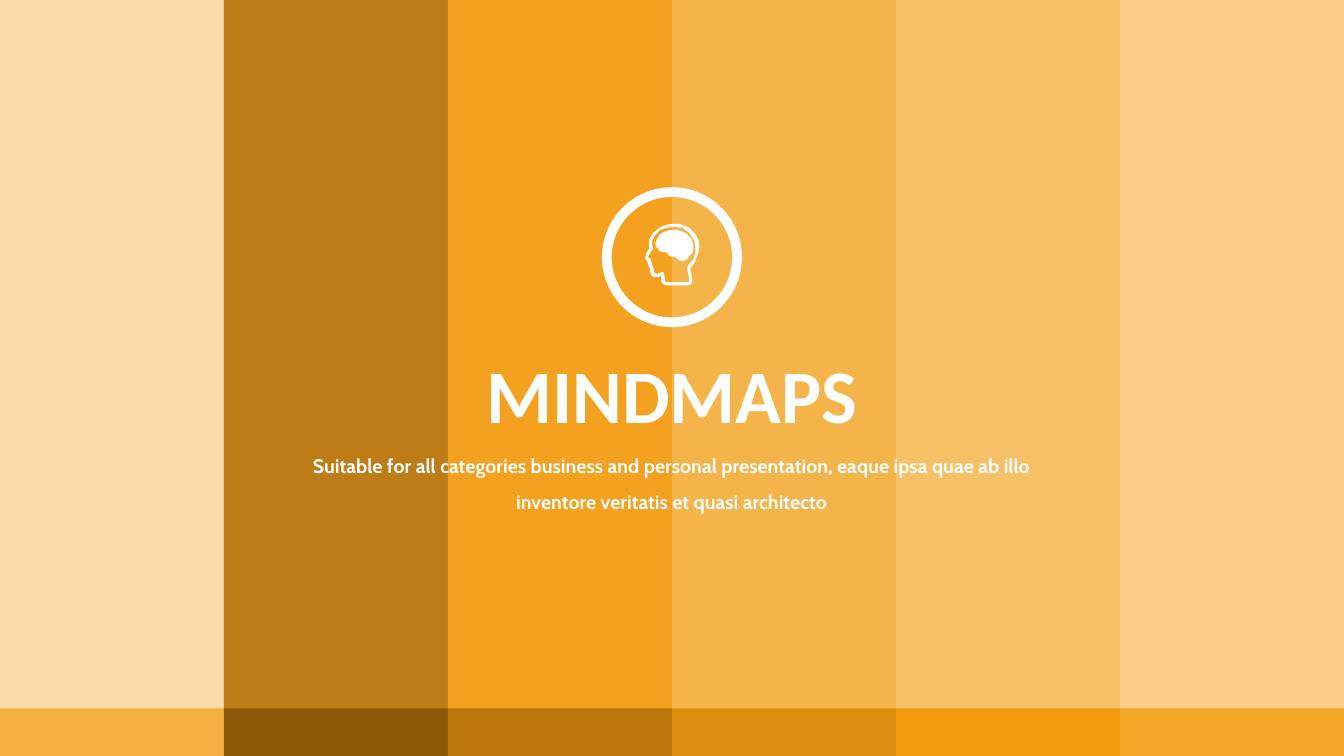
"""Build the MINDMAPS section slide with striped background and head icon."""
from lxml import etree
from pptx import Presentation
from pptx import util as u
from pptx.dml.color import RGBColor
from pptx.enum import shapes, text
from pptx.oxml.ns import qn

WHITE = RGBColor(0xFF, 0xFF, 0xFF)
STRIPE_COLORS = [RGBColor.from_string(code) for code in
                 ("FAD9A4", "BA7609", "F39C12", "F5B041", "F7BD5F", "F9CC83")]
FOOTER_COLORS = [RGBColor.from_string(code) for code in
                 ("F5B042", "8B5907", "BA7609", "DD8D0C", "F39B0E", "F5A728")]
STRIPE_WIDTH = 160
SLIDE_HEIGHT = 540
FOOTER_HEIGHT = 34

HEAD_OUTER = [
    (688, 230), (684, 226.5), (679, 224), (674, 222.3), (669, 222), (661, 223), (654, 226),
    (648, 231), (644, 238), (643.5, 245), (644, 247), (642, 250), (641, 252), (640, 256),
    (642, 259), (643, 262), (644, 265), (645, 267), (645, 269), (646, 273), (648.5, 274.6),
    (651, 275), (656, 274), (656, 279), (658, 282), (661, 283), (682, 283), (686, 282),
    (687, 278), (685, 267), (685, 266), (690, 259), (693, 250), (694, 244), (693, 239),
    (691, 234)]
HEAD_INNER = [
    (690, 250), (687.5, 257), (683, 263), (681.8, 265), (682, 268), (684, 278), (683, 280),
    (682, 280), (661, 280), (660, 279), (659, 272), (658, 270), (657, 270), (651, 272),
    (648.8, 270), (648, 265), (647, 263), (647, 261), (646, 260), (646, 257), (644, 256),
    (643, 255), (643, 254), (647, 248), (648, 247), (648, 245), (647, 244), (647, 239),
    (650, 233), (655, 228.5), (662, 225.7), (669, 225), (677, 226.5), (684, 231),
    (689, 239), (690.5, 245)]
BRAIN = [
    (675, 229), (672, 228), (670, 228.3), (668, 228), (665, 228), (662, 229), (661, 229),
    (657, 231), (654, 233), (653, 236), (651, 238), (651, 239), (650, 242), (651, 245),
    (653, 247), (654.5, 249.3), (657, 250), (659, 250), (662, 251), (664, 254), (668, 255),
    (670, 255), (673, 258), (677, 259), (681, 257.7), (684, 254), (687, 251), (688, 247),
    (688, 244), (687, 240), (686.5, 237), (684, 235), (680.5, 231)]

presentation = Presentation()
presentation.slide_width = u.Pt(960)
presentation.slide_height = u.Pt(SLIDE_HEIGHT)
slide = presentation.slides.add_slide(presentation.slide_layouts[6])


def paint(shape, color):
    shape.shadow.inherit = False
    shape.fill.solid()
    shape.fill.fore_color.rgb = color
    shape.line.fill.background()


def add_text(content, left, top, width, height, font, size, wrap=True, spacing=1.0):
    box = slide.shapes.add_textbox(u.Pt(left), u.Pt(top), u.Pt(width), u.Pt(height))
    frame = box.text_frame
    frame.word_wrap = wrap
    frame.auto_size = text.MSO_AUTO_SIZE.SHAPE_TO_FIT_TEXT
    paragraph = frame.paragraphs[0]
    paragraph.alignment = text.PP_ALIGN.CENTER
    paragraph.line_spacing = spacing
    run = paragraph.add_run()
    run.text = content
    run.font.name = font
    run.font.size = u.Pt(size)
    run.font.bold = True
    run.font.color.rgb = WHITE


for top, height, colors, alpha in (
        (0, SLIDE_HEIGHT, STRIPE_COLORS, 95),
        (SLIDE_HEIGHT - FOOTER_HEIGHT, FOOTER_HEIGHT, FOOTER_COLORS, 100)):
    for column, color in enumerate(colors):
        stripe = slide.shapes.add_shape(
            shapes.MSO_SHAPE.RECTANGLE, u.Pt(column * STRIPE_WIDTH), u.Pt(top),
            u.Pt(STRIPE_WIDTH), u.Pt(height))
        paint(stripe, color)
        if alpha < 100:
            color_element = stripe._element.spPr.find(qn("a:solidFill"))[0]
            etree.SubElement(color_element, qn("a:alpha"), val=str(alpha * 1000))

add_text("MINDMAPS", 338.5, 244.8, 283, 72.7, "Calibri", 54, wrap=False)
add_text("Suitable for all categories business and personal presentation, "
         "eaque ipsa quae ab illo inventore veritatis et quasi architecto",
         210.2, 312.5, 539.3, 55.4, "Cabin", 14, spacing=1.5)

ring = slide.shapes.add_shape(
    shapes.MSO_SHAPE.DONUT, u.Pt(430), u.Pt(133.7), u.Pt(100), u.Pt(100))
ring.adjustments[0] = 0.07
paint(ring, WHITE)

for contours in ([HEAD_OUTER, HEAD_INNER], [BRAIN]):
    builder = slide.shapes.build_freeform(*contours[0][0], scale=u.Pt(0.72))
    builder.add_line_segments(contours[0][1:], close=True)
    for hole in contours[1:]:
        builder.move_to(*hole[0])
        builder.add_line_segments(hole[1:], close=True)
    paint(builder.convert_to_shape(), WHITE)

presentation.save("out.pptx")
